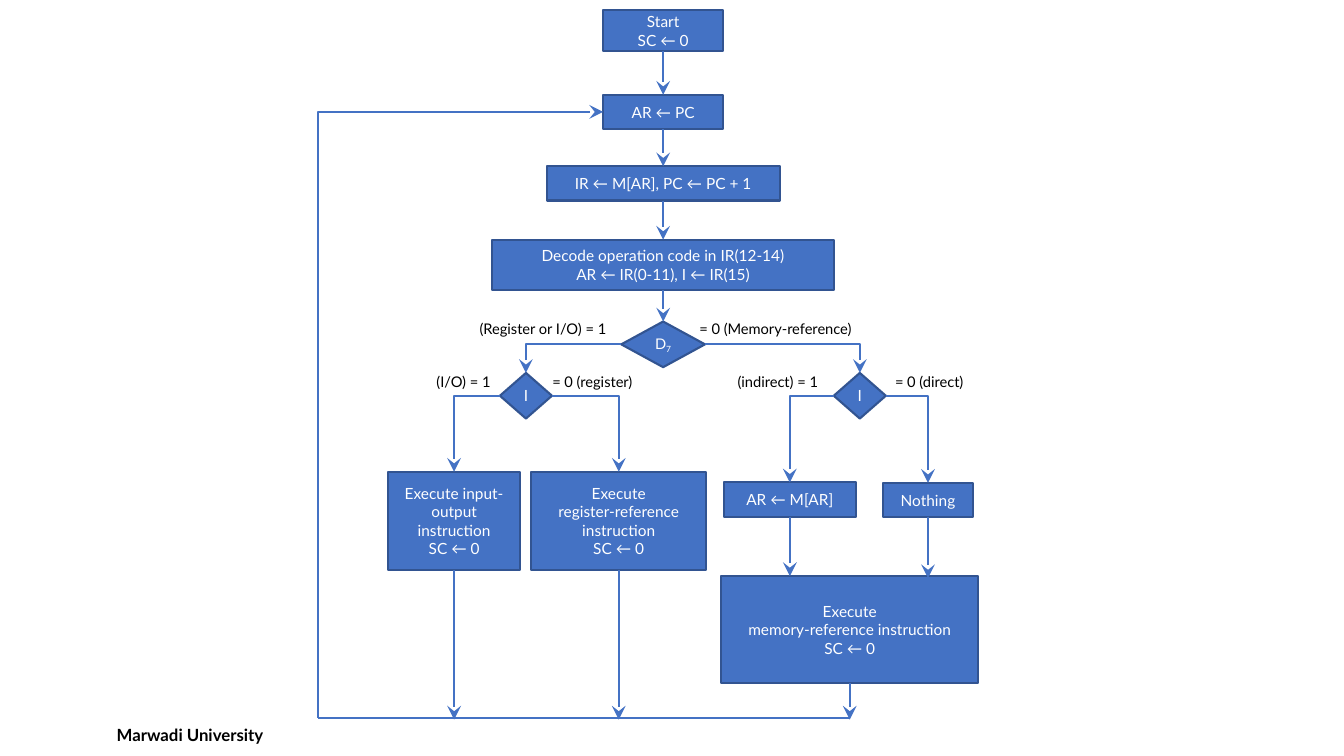
"""Build the instruction cycle flowchart slide."""
from typing import NamedTuple, Optional

from lxml.etree import SubElement
from pptx import Presentation
from pptx.dml.color import RGBColor
from pptx.enum.shapes import MSO_CONNECTOR, MSO_SHAPE
from pptx.enum.text import MSO_ANCHOR, MSO_AUTO_SIZE, PP_ALIGN
from pptx.oxml.ns import qn
from pptx.util import Pt

BLUE = RGBColor(0x44, 0x72, 0xC4)
NAVY = RGBColor(0x32, 0x54, 0x91)
WHITE = RGBColor(0xFF, 0xFF, 0xFF)
BLACK = RGBColor(0x00, 0x00, 0x00)
FONT = "Lato"
LINE_WIDTH = 1.5
SPINE = 473.7
RAIL_Y = 513
RAIL_X = 227
TOP, LEFT, BOTTOM, RIGHT = range(4)


class Node(NamedTuple):
    key: str
    text: str
    center: float
    top: float
    width: float
    height: float
    kind: MSO_SHAPE = MSO_SHAPE.RECTANGLE
    size: float = 11
    subscript: str = ""

    def site(self, side: int) -> tuple:
        """Return the middle of one side."""
        across = {LEFT: -0.5, RIGHT: 0.5}.get(side, 0)
        down = {TOP: 0, BOTTOM: 1}.get(side, 0.5)
        return self.center + across * self.width, self.top + down * self.height


class Arrow(NamedTuple):
    source: str
    side: int
    target: Optional[str] = None
    end_y: float = RAIL_Y + 1
    elbow: bool = False


class Label(NamedTuple):
    text: str
    left: float
    top: float
    width: float


NODES = [
    Node("start", "Start\nSC ← 0", SPINE, 7.2, 85.7, 29.5),
    Node("fetch address", "AR ← PC", SPINE, 67.7, 85.7, 24.5),
    Node("fetch", "IR ← M[AR], PC ← PC + 1", SPINE, 118.8, 166.3, 24.5),
    Node("decode", "Decode operation code in IR(12-14)\nAR ← IR(0-11), I ← IR(15)",
         SPINE, 171.2, 244, 36.2),
    Node("D7", "D", SPINE, 229.7, 59.8, 32.6, MSO_SHAPE.DIAMOND, 10.5, "7"),
    Node("I left", "I", 375.7, 266.4, 37.2, 32.6, MSO_SHAPE.DIAMOND),
    Node("I right", "I", 614.2, 266.4, 37.2, 32.6, MSO_SHAPE.DIAMOND),
    Node("input-output", "Execute input-output instruction\nSC ← 0",
         324.4, 337, 94.3, 70),
    Node("register", "Execute\nregister-reference instruction\nSC ← 0",
         442, 337, 125.3, 70),
    Node("indirect", "AR ← M[AR]", 564.2, 344.6, 94.3, 24.5),
    Node("nothing", "Nothing", 662.9, 344.9, 64.1, 24.5),
    Node("memory", "Execute\nmemory-reference instruction\nSC ← 0",
         607, 411.2, 183.8, 77),
]

ARROWS = [
    Arrow("start", BOTTOM, "fetch address"),
    Arrow("fetch address", BOTTOM, "fetch"),
    Arrow("fetch", BOTTOM, "decode"),
    Arrow("decode", BOTTOM, "D7"),
    Arrow("D7", LEFT, "I left", elbow=True),
    Arrow("D7", RIGHT, "I right", elbow=True),
    Arrow("I left", LEFT, "input-output", elbow=True),
    Arrow("I left", RIGHT, "register", elbow=True),
    Arrow("I right", LEFT, "indirect", elbow=True),
    Arrow("I right", RIGHT, "nothing", elbow=True),
    Arrow("indirect", BOTTOM, end_y=411.5),
    Arrow("nothing", BOTTOM, end_y=413),
    Arrow("input-output", BOTTOM),
    Arrow("register", BOTTOM),
    Arrow("memory", BOTTOM),
]

LABELS = [
    Label("(Register or I/O) = 1", 335.5, 224.6, 116),
    Label("= 0 (Memory-reference)", 492.5, 224.6, 138),
    Label("(I/O) = 1", 304.6, 262.8, 57),
    Label("= 0 (register)", 387.4, 262.8, 83.5),
    Label("(indirect) = 1", 519.8, 262.8, 81.4),
    Label("= 0 (direct)", 632.2, 262.8, 73.4),
]


def add_text(box, text: str, *, size: float, color: RGBColor, bold: bool = False,
             align=PP_ALIGN.LEFT, anchor=MSO_ANCHOR.TOP, wrap: bool = True,
             subscript: str = "") -> None:
    """Fill a shape with formatted text, one paragraph per line."""
    frame = box.text_frame
    frame.word_wrap = wrap
    frame.vertical_anchor = anchor
    frame.auto_size = MSO_AUTO_SIZE.NONE if wrap else MSO_AUTO_SIZE.SHAPE_TO_FIT_TEXT
    for index, line in enumerate(text.split("\n")):
        para = frame.add_paragraph() if index else frame.paragraphs[0]
        para.alignment = align
        for part in filter(None, (line, subscript)):
            span = para.add_run()
            span.text = part
            span.font.name = FONT
            span.font.size = Pt(size)
            span.font.bold = bold
            span.font.color.rgb = color
    if subscript:
        span._r.get_or_add_rPr().set("baseline", "-25000")


def add_node(page, node: Node):
    """Draw one flowchart node."""
    box = page.shapes.add_shape(node.kind, Pt(node.center - node.width / 2),
                                Pt(node.top), Pt(node.width), Pt(node.height))
    box.shadow.inherit = False
    box.fill.solid()
    box.fill.fore_color.rgb = BLUE
    box.line.color.rgb = NAVY
    box.line.width = Pt(LINE_WIDTH)
    add_text(box, node.text, size=node.size, color=WHITE, align=PP_ALIGN.CENTER,
             anchor=MSO_ANCHOR.MIDDLE, subscript=node.subscript)
    return box


def add_line(page, begin: tuple, end: tuple, *, elbow: bool = False,
             arrow_end: str = ""):
    """Draw a straight or single-bend connector with an optional arrowhead."""
    kind = MSO_CONNECTOR.ELBOW if elbow else MSO_CONNECTOR.STRAIGHT
    line = page.shapes.add_connector(kind, *(Pt(value) for value in begin + end))
    line.line.color.rgb = BLUE
    line.line.width = Pt(LINE_WIDTH)
    properties = line._element.spPr
    if elbow:
        properties.find(qn("a:prstGeom")).set("prst", "bentConnector2")
    if arrow_end:
        SubElement(properties.find(qn("a:ln")), qn(f"a:{arrow_end}"),
                   type="stealth", w="lg", len="lg")
    SubElement(properties, qn("a:effectLst"))
    return line


def add_arrow(page, arrow: Arrow, nodes: dict, boxes: dict) -> None:
    """Draw an arrow out of a node and join it to the nodes it touches."""
    begin = nodes[arrow.source].site(arrow.side)
    end = nodes[arrow.target].site(TOP) if arrow.target else (begin[0], arrow.end_y)
    line = add_line(page, begin, end, elbow=arrow.elbow, arrow_end="tailEnd")
    line.begin_connect(boxes[arrow.source], arrow.side)
    if arrow.target:
        line.end_connect(boxes[arrow.target], TOP)


def main() -> None:
    """Compose and save the deck."""
    deck = Presentation()
    deck.slide_width, deck.slide_height = Pt(960), Pt(540)
    page = deck.slides.add_slide(deck.slide_layouts[6])

    footer = page.shapes.add_textbox(Pt(76.3), Pt(510.5), Pt(576), Pt(28.8))
    add_text(footer, "Marwadi University", size=12, color=BLACK, bold=True,
             anchor=MSO_ANCHOR.MIDDLE)

    nodes = {node.key: node for node in NODES}
    boxes = {node.key: add_node(page, node) for node in NODES}
    for arrow in ARROWS:
        add_arrow(page, arrow, nodes, boxes)

    add_line(page, nodes["memory"].site(BOTTOM)[:1] + (RAIL_Y,), (RAIL_X, RAIL_Y))
    loop = add_line(page, nodes["fetch address"].site(LEFT), (RAIL_X, RAIL_Y),
                    elbow=True, arrow_end="headEnd")
    loop.begin_connect(boxes["fetch address"], LEFT)

    for label in LABELS:
        box = page.shapes.add_textbox(Pt(label.left), Pt(label.top),
                                      Pt(label.width), Pt(20.5))
        add_text(box, label.text, size=10.5, color=BLACK, wrap=False)

    deck.save("out.pptx")


if __name__ == "__main__":
    main()
